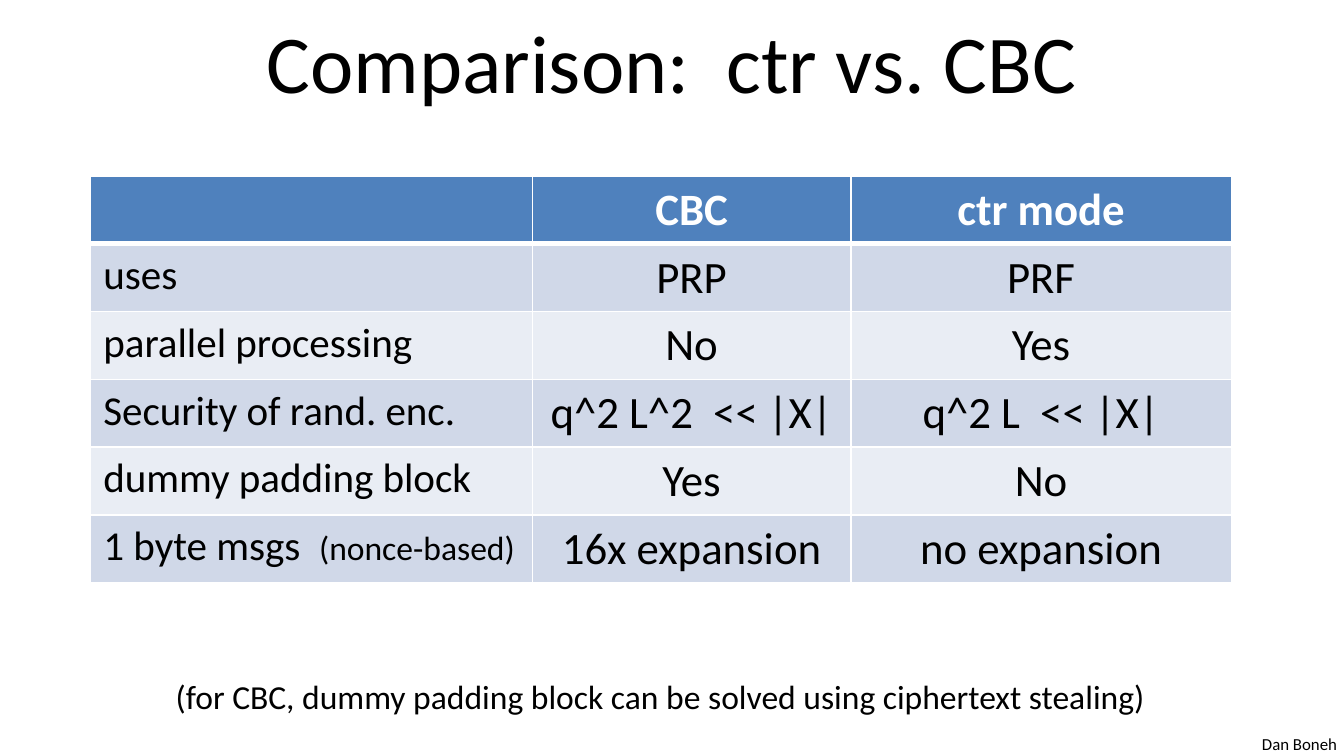
from dataclasses import dataclass

from lxml.etree import SubElement
from pptx import Presentation
from pptx.dml.color import RGBColor as Rgb
from pptx.enum.text import MSO_ANCHOR as Anchor, PP_ALIGN as Align
from pptx.oxml.ns import qn
from pptx.util import Cm, Pt


@dataclass(frozen=True)
class Theme:
    font: str = "Calibri"
    ink: Rgb = Rgb(0, 0, 0)
    paper: Rgb = Rgb(255, 255, 255)
    head: Rgb = Rgb(0x4F, 0x81, 0xBD)
    bands: tuple = (Rgb(0xD0, 0xD8, 0xE8), Rgb(0xE9, 0xED, 0xF4))
    title: int = 44
    cell: int = 24
    label: int = 22
    note: int = 18
    credit: int = 9
    thin: int = 1
    thick: int = 3


THEME = Theme()
WIDTHS = (8.36, 6.02, 7.19)
ROW = 1.28
ROWS = (
    ("", "CBC", "ctr mode"),
    ("uses", "PRP", "PRF"),
    ("parallel processing", "No", "Yes"),
    ("Security of rand. enc.", "q^2 L^2  << |X|", "q^2 L  << |X|"),
    ("dummy padding block", "Yes", "No"),
    ("1 byte msgs  ", "16x expansion", "no expansion"),
)


def style(font, size, color=THEME.ink, bold=False):
    font.name = THEME.font
    font.size = Pt(size)
    font.color.rgb = color
    font.bold = bold


def add_title(slide, text):
    title = slide.shapes.title
    title.left, title.top = Cm(1.27), Cm(-0.05)
    title.width, title.height = Cm(22.86), Cm(2.39)
    frame = title.text_frame
    frame.text = text
    frame.vertical_anchor = Anchor.MIDDLE
    para = frame.paragraphs[0]
    para.alignment = Align.CENTER
    style(para.font, THEME.title)


def add_text(slide, text, box, size):
    frame = slide.shapes.add_textbox(*map(Cm, box)).text_frame
    frame.word_wrap = False
    frame.text = text
    style(frame.paragraphs[0].font, size)


def set_edges(cell, row):
    """Draw the cell's borders, with a thick rule under the header row."""
    props = cell._tc.get_or_add_tcPr()
    rule = {0: "lnB", 1: "lnT"}.get(row)
    for side in ("lnL", "lnR", "lnT", "lnB"):
        width = THEME.thick if side == rule else THEME.thin
        line = SubElement(props, qn(f"a:{side}"), w=str(Pt(width)))
        fill = SubElement(line, qn("a:solidFill"))
        SubElement(fill, qn("a:srgbClr"), val=str(THEME.paper))


def fill_cell(cell, text, row, col):
    set_edges(cell, row)
    cell.fill.solid()
    cell.fill.fore_color.rgb = THEME.bands[(row - 1) % 2] if row else THEME.head
    cell.text = text
    para = cell.text_frame.paragraphs[0]
    para.alignment = Align.CENTER if col else Align.LEFT
    size = THEME.cell if col or not row else THEME.label
    style(para.font, size, THEME.ink if row else THEME.paper, not row)


def add_grid(slide):
    frame = slide.shapes.add_table(
        len(ROWS), len(WIDTHS), Cm(1.7), Cm(3.33),
        Cm(sum(WIDTHS)), Cm(ROW * len(ROWS)))
    table = frame.table
    for column, width in zip(table.columns, WIDTHS):
        column.width = Cm(width)
    for row, texts in enumerate(ROWS):
        table.rows[row].height = Cm(ROW)
        for col, text in enumerate(texts):
            fill_cell(table.cell(row, col), text, row, col)
    last = table.cell(len(ROWS) - 1, 0).text_frame.paragraphs[0]
    run = last.add_run()
    run.text = "(nonce-based)"
    run.font.size = Pt(THEME.note)


def main():
    deck = Presentation()
    deck.slide_width, deck.slide_height = Cm(25.4), Cm(14.29)
    slide = deck.slides.add_slide(deck.slide_layouts[5])
    add_text(slide, "Dan Boneh", (23.6, 13.74, 1.93, 0.64), THEME.credit)
    add_title(slide, "Comparison:  ctr vs. CBC")
    add_grid(slide)
    add_text(
        slide,
        "(for CBC, dummy padding block can be solved using ciphertext stealing)",
        (3.07, 12.65, 18.95, 1.02), THEME.note)
    deck.save("out.pptx")


if __name__ == "__main__":
    main()
